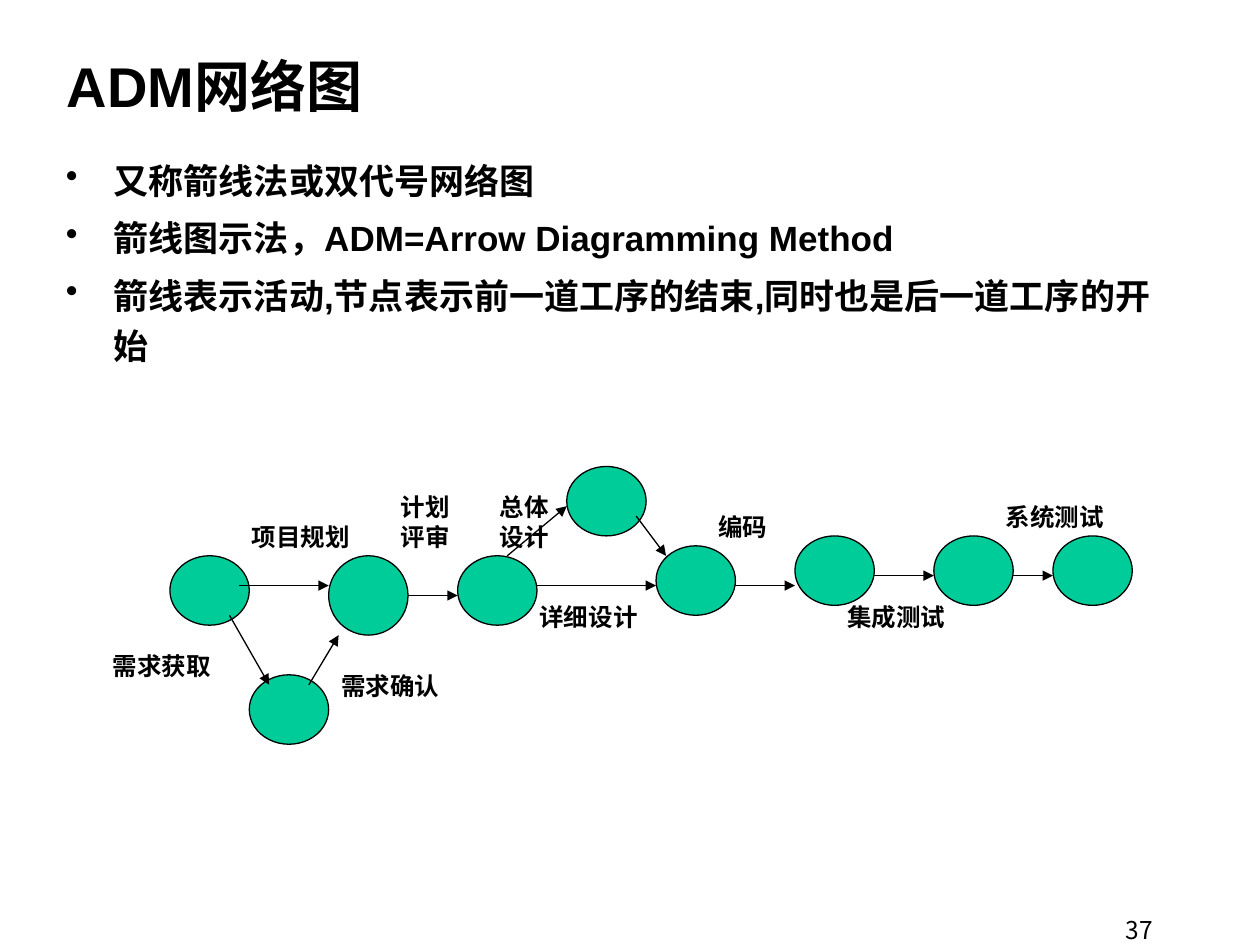
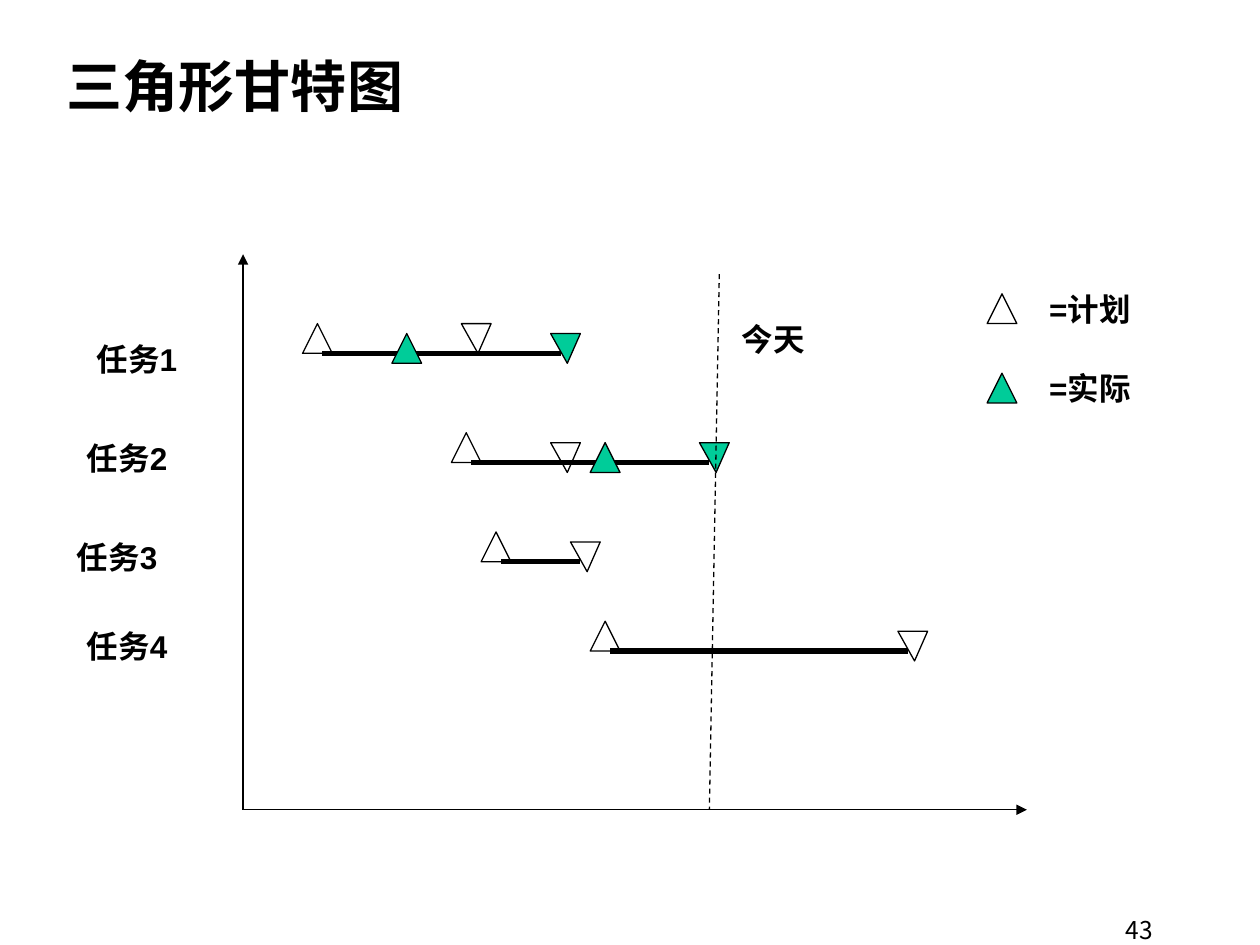
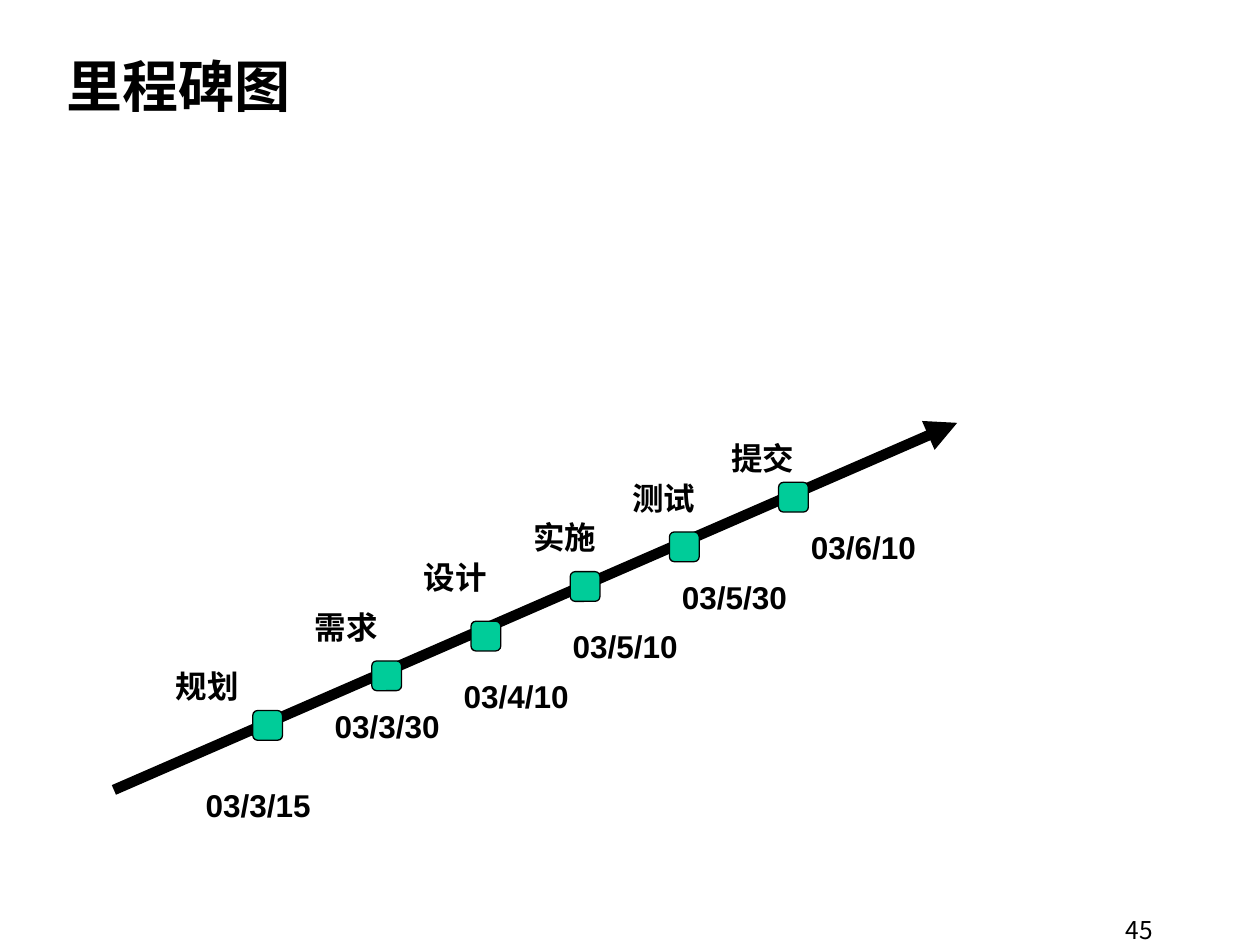
"""Build three slides on project scheduling diagrams."""
import dataclasses
import typing

import lxml.etree
import pptx
import pptx.dml.color
import pptx.enum.dml
import pptx.enum.shapes
import pptx.enum.text
import pptx.oxml.ns
import pptx.util

SHAPES = pptx.enum.shapes.MSO_SHAPE
ALIGN = pptx.enum.text.PP_ALIGN
ANCHOR = pptx.enum.text.MSO_ANCHOR


@dataclasses.dataclass(frozen=True)
class Theme:
    """Colours, fonts, sizes and frames that the slides share."""
    ink: str = "000000"
    accent: str = "00CC99"
    font: str = "Arial"
    asian_font: str = "Noto Sans CJK KR"
    title_size: int = 32
    body_size: int = 20
    label_size: int = 18
    small_size: int = 14
    body_spacing: float = 1.2
    thin: float = 0.75
    bar: float = 3
    heavy: float = 6
    columns: int = 127
    title_frame: tuple = (5.5, 4.6, 115, 8)
    body_frame: tuple = (5.4, 14.6, 115, 28.6)
    number_frame: tuple = (91.06, 91.6, 26.42, 3.56)


THEME = Theme()


@dataclasses.dataclass
class Canvas:
    """A slide with a square grid, shifted by a fraction of a cell."""
    slide: typing.Any
    cell: float
    shift: tuple = (0, 0)

    def point(self, column, row):
        """Return the slide position of a grid point."""
        return (round((column + self.shift[0]) * self.cell),
                round((row + self.shift[1]) * self.cell))

    def box(self, column, row, width, height):
        """Return left, top, width and height of a grid area."""
        return (*self.point(column, row), round(width * self.cell), round(height * self.cell))


def color(value):
    """Turn a hex string into a colour."""
    return pptx.dml.color.RGBColor.from_string(value)


def add_child(parent, tag, **attributes):
    """Append a DrawingML element."""
    return lxml.etree.SubElement(parent, pptx.oxml.ns.qn(tag), attributes)


def add_run(paragraph, text, size, bold=True, font=THEME.font):
    """Add one styled run to a paragraph."""
    run = paragraph.add_run()
    run.text = text
    run.font.size = pptx.util.Pt(size)
    run.font.bold = bold
    run.font.name = font
    run.font.color.rgb = color(THEME.ink)
    add_child(run.font._element, "a:ea", typeface=THEME.asian_font)


def add_frame(canvas, area):
    """Add a wrapping text box and return its text frame."""
    frame = canvas.slide.shapes.add_textbox(*canvas.box(*area)).text_frame
    frame.word_wrap = True
    return frame


def add_label(canvas, text, column, row, width, size=THEME.label_size):
    """Add a bold diagram label."""
    add_run(add_frame(canvas, (column, row, width, 5)).paragraphs[0], text, size)


def add_bullets(page, lines):
    """Add the bulleted body text."""
    frame = add_frame(page, THEME.body_frame)
    indent = pptx.util.Inches(0.38)
    for index, line in enumerate(lines):
        paragraph = frame.add_paragraph() if index else frame.paragraphs[0]
        paragraph.line_spacing = THEME.body_spacing
        paragraph.space_before = pptx.util.Pt(THEME.body_size / 5)
        properties = paragraph._p.get_or_add_pPr()
        properties.set("marL", str(indent))
        properties.set("indent", str(-indent))
        add_child(properties, "a:buChar", char="•")
        add_run(paragraph, line, THEME.body_size)


def add_mark(canvas, kind, area, filled=True):
    """Add an outlined shape, filled with the accent or hollow."""
    shape = canvas.slide.shapes.add_shape(kind, *canvas.box(*area))
    shape.shadow.inherit = False
    shape.line.color.rgb = color(THEME.ink)
    shape.line.width = pptx.util.Pt(THEME.thin)
    if filled:
        shape.fill.solid()
        shape.fill.fore_color.rgb = color(THEME.accent)
    else:
        shape.fill.background()
    return shape


def add_triangle(canvas, column, row, actual, finish=False):
    """Add a start triangle, or an inverted finish triangle."""
    shape = add_mark(canvas, SHAPES.ISOSCELES_TRIANGLE, (column, row, 3, 3), actual)
    if finish:
        shape.rotation = 180
        shape.adjustments[0] = 0.44


def add_line(canvas, start, end, width=THEME.thin, arrow=False, dashed=False):
    """Add a straight line between two grid points."""
    connector = canvas.slide.shapes.add_connector(
        pptx.enum.shapes.MSO_CONNECTOR.STRAIGHT, *canvas.point(*start), *canvas.point(*end))
    connector.line.color.rgb = color(THEME.ink)
    connector.line.width = pptx.util.Pt(width)
    if dashed:
        connector.line.dash_style = pptx.enum.dml.MSO_LINE.DASH
    if arrow:
        add_child(connector.line._get_or_add_ln(), "a:tailEnd", type="triangle")
    add_child(connector._element.spPr, "a:effectLst")


def add_page(presentation, title, number):
    """Add a slide with its title and number, and return its unshifted canvas."""
    slide = presentation.slides.add_slide(presentation.slide_layouts[6])
    page = Canvas(slide, presentation.slide_width / THEME.columns)
    title_frame = add_frame(page, THEME.title_frame)
    title_frame.vertical_anchor = ANCHOR.MIDDLE
    add_run(title_frame.paragraphs[0], title, THEME.title_size)
    paragraph = add_frame(page, THEME.number_frame).paragraphs[0]
    paragraph.alignment = ALIGN.RIGHT
    add_run(paragraph, str(number), THEME.small_size, False, THEME.asian_font)
    return page


def build_network(presentation):
    """Build the arrow diagram slide."""
    page = add_page(presentation, "ADM网络图", 37)
    add_bullets(page, (
        "又称箭线法或双代号网络图",
        "箭线图示法，ADM=Arrow Diagramming Method",
        "箭线表示活动,节点表示前一道工序的结束,同时也是后一道工序的开始",
    ))
    canvas = dataclasses.replace(page, shift=(0.13, 0.02))
    nodes = ((17, 56, 7), (33, 56, 8), (25, 68, 7), (46, 56, 7), (57, 47, 7),
             (66, 55, 7), (80, 54, 7), (94, 54, 7), (106, 54, 7))
    for column, row, height in nodes:
        add_mark(canvas, SHAPES.OVAL, (column, row, 8, height))
    activities = (
        ((24, 59), (33, 59)), ((23, 62), (27, 69)), ((31, 69), (34, 64)),
        ((41, 60), (46, 60)), ((51, 56), (57, 51)), ((54, 59), (66, 59)),
        ((64, 52), (67, 56)), ((74, 59), (80, 59)), ((88, 58), (94, 58)),
        ((102, 58), (106, 58)),
    )
    for start, end in activities:
        add_line(canvas, start, end, arrow=True)
    labels = (
        ("项目规划", 24, 52, 14), ("需求获取", 10, 65, 14), ("需求确认", 33, 67, 14),
        ("计划评审", 39, 49, 8), ("总体设计", 49, 49, 8), ("详细设计", 53, 60, 14),
        ("编码", 71, 51, 14), ("集成测试", 84, 60, 14), ("系统测试", 100, 50, 14),
    )
    for label in labels:
        add_label(canvas, *label, THEME.small_size)


def build_gantt(presentation):
    """Build the triangle Gantt chart slide."""
    page = add_page(presentation, "三角形甘特图", 43)
    canvas = dataclasses.replace(page, shift=(0.5, 0.62))
    origin = (24, 81)
    for end in ((24, 25), (103, 81)):
        add_line(canvas, origin, end, arrow=True)
    tasks = (
        ("任务1", (8, 33), (32, 56, 35), (46, 32), ((39, False), (55, True))),
        ("任务2", (7, 43), (47, 71, 46), (55, 44), ((59, False), (70, True))),
        ("任务3", (6, 53), (50, 58, 56), (57, 54), ()),
        ("任务4", (7, 62), (61, 91, 65), (90, 63), ()),
    )
    for name, label_at, (start, end, row), planned_finish, actuals in tasks:
        add_line(canvas, (start, row), (end, row), THEME.bar)
        for column, finish in actuals:
            add_triangle(canvas, column, row - 2, True, finish)
        add_triangle(canvas, start - 2, row - 3, False)
        add_triangle(canvas, *planned_finish, False, True)
        add_label(canvas, name, *label_at, 15.5)
    add_line(canvas, (72, 27), (71, 81), dashed=True)
    add_label(canvas, "今天", 73, 31, 13)
    for text, row, actual in (("=计划", 29, False), ("=实际", 37, True)):
        add_triangle(canvas, 99, row, actual)
        add_label(canvas, text, 104, row - 1, 13)


def build_milestones(presentation):
    """Build the milestone chart slide."""
    page = add_page(presentation, "里程碑图", 45)
    canvas = dataclasses.replace(page, shift=(0.48, 0.62))
    add_line(canvas, (11, 79), (96, 42), THEME.heavy, arrow=True)
    milestones = (
        ("规划", (16, 66), (25, 71), "03/3/15", (19, 78)),
        ("需求", (30, 60), (37, 66), "03/3/30", (32, 70)),
        ("设计", (41, 55), (47, 62), "03/4/10", (45, 67)),
        ("实施", (52, 51), (57, 57), "03/5/10", (56, 62)),
        ("测试", (62, 47), (67, 53), "03/5/30", (67, 57)),
        ("提交", (72, 43), (78, 48), "03/6/10", (80, 52)),
    )
    for name, name_at, marker_at, date, date_at in milestones:
        add_mark(canvas, SHAPES.ROUNDED_RECTANGLE, (*marker_at, 3, 3))
        add_label(canvas, name, *name_at, 9)
        add_label(canvas, date, *date_at, 14)


def main():
    """Build and save the presentation."""
    presentation = pptx.Presentation()
    presentation.slide_width = pptx.util.Inches(10)
    presentation.slide_height = pptx.util.Inches(7.5)
    build_network(presentation)
    build_gantt(presentation)
    build_milestones(presentation)
    presentation.save("out.pptx")


if __name__ == "__main__":
    main()
